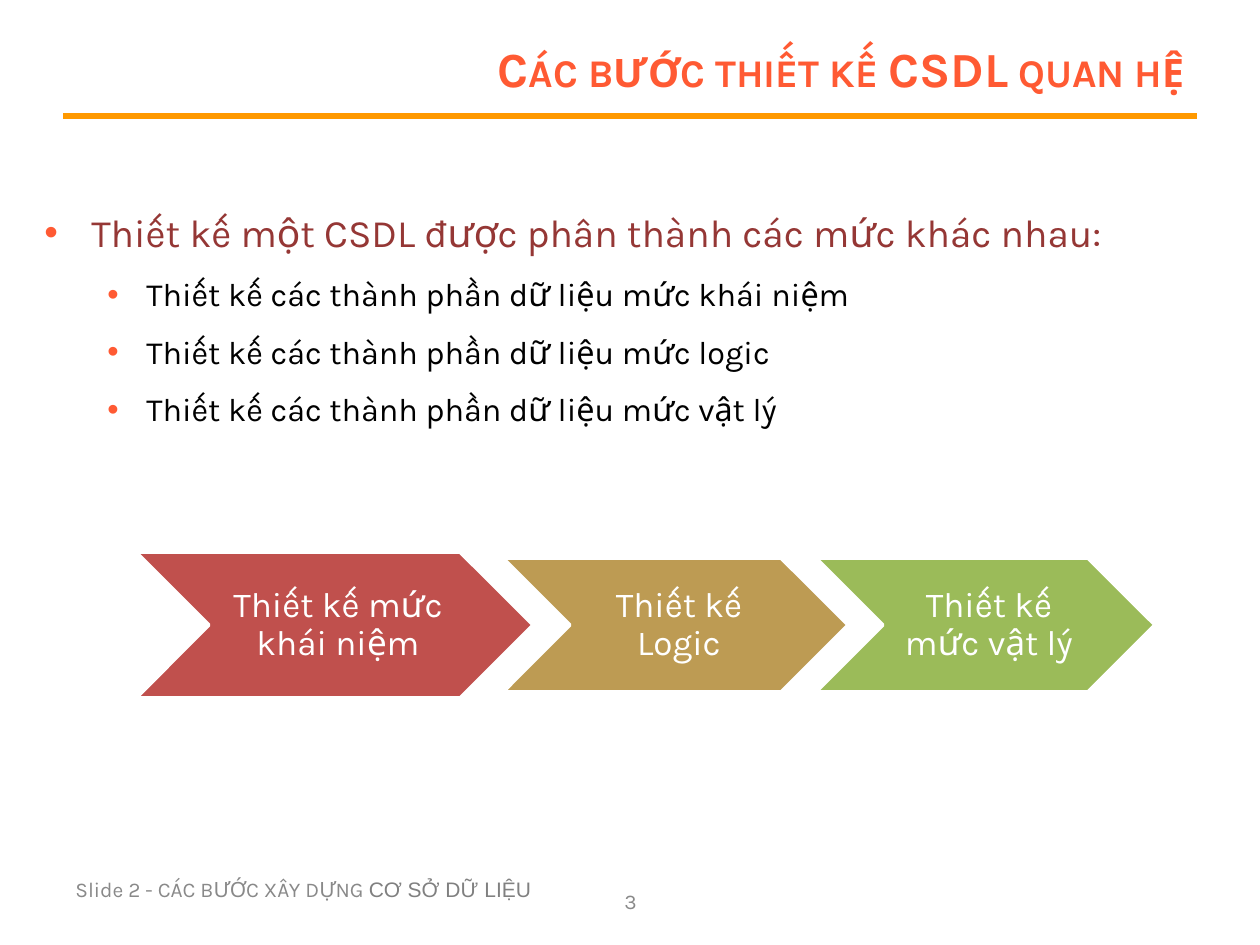
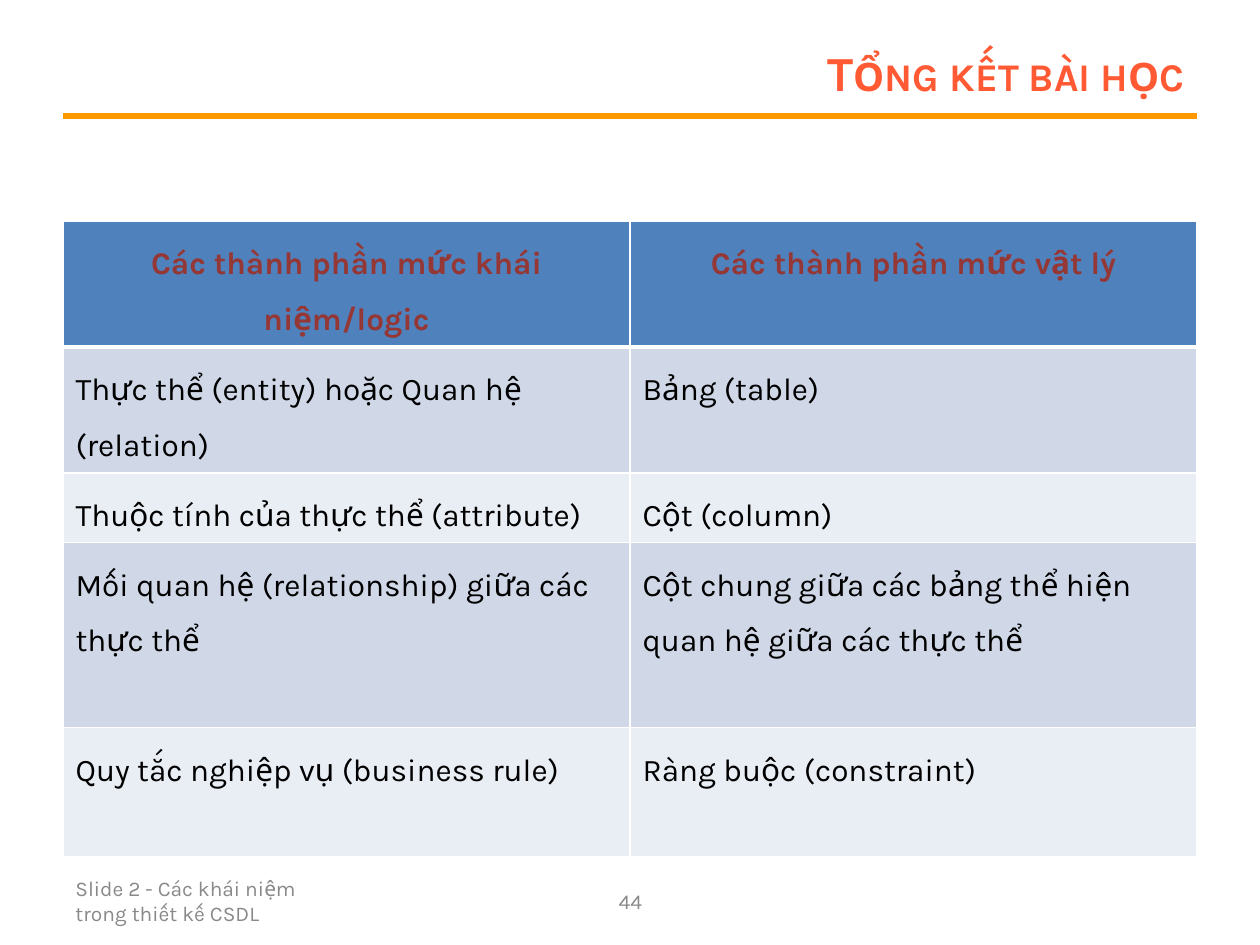
from lxml import etree
from pptx import Presentation
from pptx.dml.color import RGBColor
from pptx.enum.shapes import MSO_CONNECTOR, MSO_SHAPE
from pptx.enum.text import MSO_ANCHOR, PP_ALIGN
from pptx.oxml.ns import qn
from pptx.util import Pt

CHEVRON = MSO_SHAPE.CHEVRON
STRAIGHT = MSO_CONNECTOR.STRAIGHT
MIDDLE = MSO_ANCHOR.MIDDLE
LEFT, CENTER, RIGHT = PP_ALIGN.LEFT, PP_ALIGN.CENTER, PP_ALIGN.RIGHT
EMU_PER_PX = 914400 / 126

ORANGE = "FF5A33"
RULE = "FF9900"
MAROON = "953735"
BLACK = "000000"
WHITE = "FFFFFF"
GREY = "898989"

TITLE = {"name": "Karla", "size": Pt(28), "bold": True, "color": ORANGE}
FOOTER = {"name": "Karla", "size": Pt(12), "color": GREY}
FOOTER_ARIAL = {"name": "Arial", "size": Pt(12), "color": "808080"}
LEAD = {"name": "Karla", "size": Pt(22.2), "color": MAROON}
DETAIL = {"name": "Karla", "size": Pt(18.5), "color": BLACK}
STEP = {"name": "Karla", "size": Pt(20), "color": WHITE}
HEADER_CELL = {"name": "Karla", "size": Pt(18), "bold": True, "color": MAROON}
BODY_CELL = {"name": "Karla", "size": Pt(18), "bold": False, "color": BLACK}


def px(*lengths):
    return [round(length * EMU_PER_PX) for length in lengths]


def write(paragraph, text, text_format, alignment=LEFT):
    paragraph.alignment = alignment
    run = paragraph.add_run()
    run.text = text
    for attribute, value in text_format.items():
        if attribute == "color":
            run.font.color.rgb = RGBColor.from_string(value)
        else:
            setattr(run.font, attribute, value)
    return run


presentation = Presentation()
presentation.slide_width, presentation.slide_height = px(1260, 945)

slide_frames = [
    {
        "title": ("Các bước thiết kế CSDL quan hệ", (63, 0, 1134, 136)),
        "footer": [("Slide 2 - CÁC BƯỚC XÂY DỰNG ", FOOTER), ("CƠ SỞ DỮ LIỆU", FOOTER_ARIAL)],
        "footer_box": (63, 864, 525, 50),
        "number": "3",
    },
    {
        "title": ("Tổng kết bài học", (284, 38, 913, 67)),
        "footer": [("Slide 2 - Các khái niệm trong thiết kế CSDL", FOOTER)],
        "footer_box": (63, 876, 294, 50),
        "number": "44",
    },
]

for frame in slide_frames:
    slide = presentation.slides.add_slide(presentation.slide_layouts[6])
    rule = slide.shapes.add_connector(STRAIGHT, *px(63, 116, 1197, 116))
    rule.line.color.rgb = RGBColor.from_string(RULE)
    rule.line.width = Pt(3)
    etree.SubElement(rule._element.spPr, qn("a:effectLst"))

    title, title_box = frame["title"]
    labels = [
        ([(title, TITLE)], title_box, RIGHT),
        (frame["footer"], frame["footer_box"], LEFT),
        ([(frame["number"], FOOTER)], (431, 876, 399, 50), CENTER),
    ]
    for runs, box, alignment in labels:
        text_frame = slide.shapes.add_textbox(*px(*box)).text_frame
        text_frame.word_wrap = True
        text_frame.vertical_anchor = MIDDLE
        for text, text_format in runs:
            run = write(text_frame.paragraphs[0], text, text_format, alignment)
            if text_format is TITLE:
                run._r.get_or_add_rPr().set("cap", "small")

steps_slide, summary_slide = presentation.slides

bullets = [
    ("Thiết kế một CSDL được phân thành các mức khác nhau:", LEAD, 47, 47),
    ("Thiết kế các thành phần dữ liệu mức khái niệm", DETAIL, 102, 39),
    ("Thiết kế các thành phần dữ liệu mức logic", DETAIL, 102, 39),
    ("Thiết kế các thành phần dữ liệu mức vật lý", DETAIL, 102, 39),
]
text_frame = steps_slide.shapes.add_textbox(*px(32, 189, 1197, 262)).text_frame
text_frame.word_wrap = True
for index, (text, text_format, margin, hanging) in enumerate(bullets):
    paragraph = text_frame.add_paragraph() if index else text_frame.paragraphs[0]
    write(paragraph, text, text_format)
    paragraph.line_spacing = 1.3
    paragraph.space_before = Pt(4)
    properties = paragraph._p.get_or_add_pPr()
    margin_emu, indent_emu = px(margin, -hanging)
    properties.set("marL", str(margin_emu))
    properties.set("indent", str(indent_emu))
    bullet_color = etree.SubElement(properties, qn("a:buClr"))
    etree.SubElement(bullet_color, qn("a:srgbClr"), val=ORANGE)
    etree.SubElement(properties, qn("a:buFont"), typeface="Arial")
    etree.SubElement(properties, qn("a:buChar"), char="•")

steps = [
    ("Thiết kế mức khái niệm", "C0504D", 136, 397, 146),
    ("Thiết kế Logic", "BD9B53", 503, 345, 134),
    ("Thiết kế mức vật lý", "9BBB59", 816, 339, 134),
]
for text, color, left, width, height in steps:
    shape = steps_slide.shapes.add_shape(CHEVRON, *px(left, 625 - height / 2, width, height))
    shape.shadow.inherit = False
    shape.fill.solid()
    shape.fill.fore_color.rgb = RGBColor.from_string(color)
    shape.line.color.rgb = RGBColor.from_string(WHITE)
    shape.line.width = Pt(2)
    text_frame = shape.text_frame
    text_frame.word_wrap = True
    text_frame.vertical_anchor = MIDDLE
    margins = zip(("left", "top", "right", "bottom"), px(11, 4, 4, 4))
    for side, margin in margins:
        setattr(text_frame, f"margin_{side}", margin)
    paragraph = text_frame.paragraphs[0]
    write(paragraph, text, STEP, CENTER)
    paragraph.line_spacing = 0.9

components = [
    ("Các thành phần mức khái niệm/logic", "Các thành phần mức vật lý"),
    ("Thực thể (entity) hoặc Quan hệ (relation)", "Bảng (table)"),
    ("Thuộc tính của thực thể (attribute)", "Cột (column)"),
    (
        "Mối quan hệ (relationship) giữa các thực thể",
        "Cột chung giữa các bảng thể hiện quan hệ giữa các thực thể",
    ),
    ("Quy tắc nghiệp vụ (business rule)", "Ràng buộc (constraint)"),
]
row_heights = px(123, 123, 68, 185, 129)
row_fills = ["4F81BD", "D0D8E8", "E9EDF4", "D0D8E8", "E9EDF4"]
table = summary_slide.shapes.add_table(5, 2, *px(63, 221, 1134, 628)).table
for row_index, texts in enumerate(components):
    table.rows[row_index].height = row_heights[row_index]
    is_header = row_index == 0
    for column_index, text in enumerate(texts):
        cell = table.cell(row_index, column_index)
        paragraph = cell.text_frame.paragraphs[0]
        write(
            paragraph,
            text,
            HEADER_CELL if is_header else BODY_CELL,
            CENTER if is_header else LEFT,
        )
        paragraph.line_spacing = 1.5
        cell_properties = cell._tc.get_or_add_tcPr()
        border_widths = {
            "lnL": 1,
            "lnR": 1,
            "lnT": 3 if row_index == 1 else 1,
            "lnB": 3 if is_header else 1,
        }
        for side, width in border_widths.items():
            border = etree.SubElement(cell_properties, qn(f"a:{side}"), w=str(Pt(width)))
            border_fill = etree.SubElement(border, qn("a:solidFill"))
            etree.SubElement(border_fill, qn("a:srgbClr"), val=WHITE)
        cell.fill.solid()
        cell.fill.fore_color.rgb = RGBColor.from_string(row_fills[row_index])

presentation.save("out.pptx")
